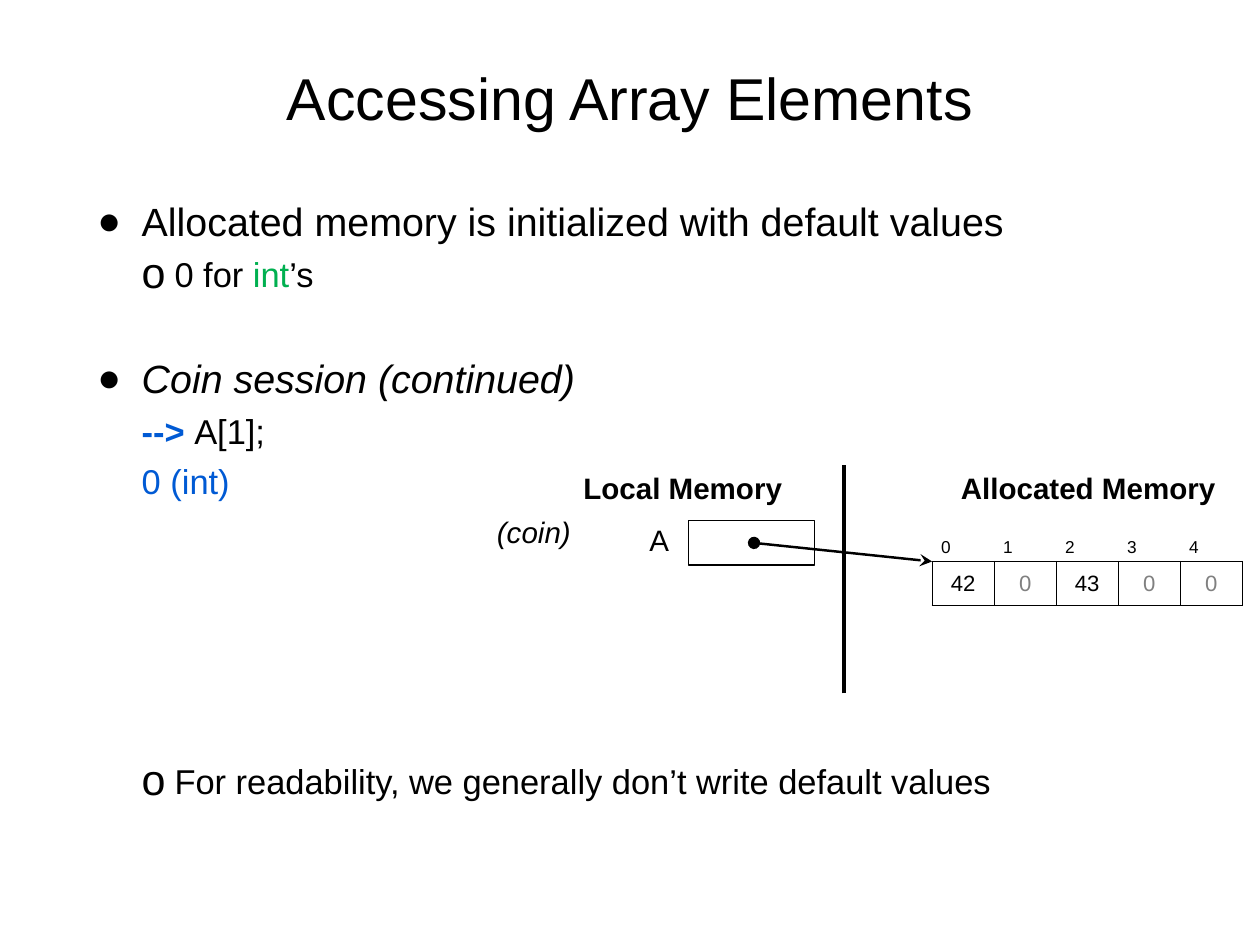
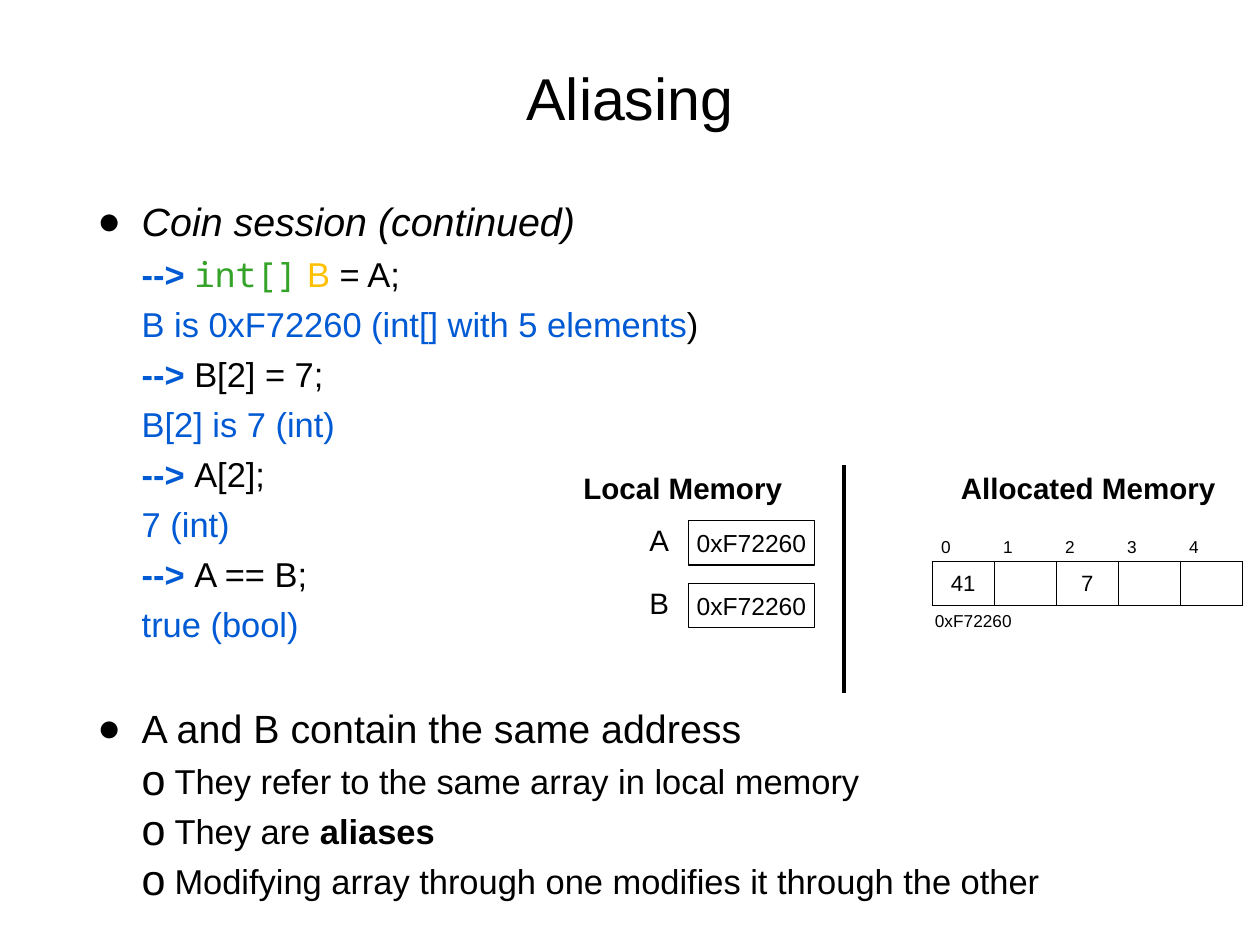
"""Build two slides about array elements and aliasing, each with a memory diagram."""
from lxml.etree import SubElement
from pptx import Presentation
from pptx.dml.color import RGBColor
from pptx.enum.shapes import MSO_CONNECTOR, MSO_SHAPE
from pptx.enum.text import MSO_ANCHOR, MSO_AUTO_SIZE, PP_ALIGN
from pptx.oxml.ns import qn
from pptx.util import Inches, Pt

BLACK = RGBColor(0x00, 0x00, 0x00)
GREY = RGBColor(0x80, 0x80, 0x80)
BLUE = RGBColor(0x00, 0x5A, 0xD4)
GREEN = RGBColor(0x00, 0xB0, 0x50)
CODE_GREEN = RGBColor(0x34, 0xA3, 0x27)
GOLD = RGBColor(0xFF, 0xC0, 0x00)
FONT, CODE_FONT = "Arial", "Noto Sans Mono"

PAGE_WIDTH, PAGE_HEIGHT = 14.22, 10.67
LEFT, WIDTH = 1.04, 12.14
INSET = 0.06
CELL_WIDTH, CELL_HEIGHT = 0.7, 0.5
TABLE_LEFT, TABLE_TOP = 10.52, 5.84
BOX_LEFT, BOX_TOP, BOX_WIDTH, BOX_PITCH = 7.77, 5.88, 1.42, 0.71
DIVIDER_X, DIVIDER_TOP, DIVIDER_BOTTOM = 9.53, 5.25, 7.83
BLANK_LINE = 40.6

LEVELS = {
    "point": dict(size=32, margin=0.5, hang=0.5, before=8, bullet="●", scale=100),
    "sub": dict(size=28, margin=0.87, hang=0.37, before=7, bullet="o", scale=125),
    "code": dict(size=28, margin=0.87, hang=0.37, before=7, bullet=None, scale=100),
}
PROMPT = ("--> ", dict(color=BLUE, bold=True))
SESSION = ("point", [("Coin session (continued)", dict(italic=True))])


def entry(text):
    return "code", [PROMPT, (text, {})]


def reply(text):
    return "code", [(text, dict(color=BLUE))]


SLIDES = [
    dict(
        title="Accessing Array Elements",
        body_height=7.54,
        lines=[
            ("point", [("Allocated memory is initialized with default values", {})]),
            ("sub", [("0 for ", {}), ("int", dict(color=GREEN)), ("’s", {})]),
            SESSION,
            entry("A[1];"),
            reply("0 (int)"),
            ("sub", [("For readability, we generally don’t write default values", {})]),
        ],
        blanks_before={2: 1, 5: 5},
        variables=[("A", "")],
        cells=["42", "0", "43", "0", "0"],
        labels=[("(coin)", 5.5, 5.75, 1.05, 0.51, 24, dict(italic=True))],
        arrow=((8.51, 6.13), (TABLE_LEFT, TABLE_TOP + CELL_HEIGHT)),
    ),
    dict(
        title="Aliasing",
        body_height=8.17,
        lines=[
            SESSION,
            ("code", [PROMPT, ("int[]", dict(color=CODE_GREEN, name=CODE_FONT)),
                      (" B ", dict(color=GOLD)), ("= A;", {})]),
            ("code", [("B is 0xF72260 (int[] with 5 elements", dict(color=BLUE)), (")", {})]),
            entry("B[2] = 7;"),
            reply("B[2] is 7 (int)"),
            entry("A[2];"),
            reply("7 (int)"),
            entry("A == B;"),
            reply("true (bool)"),
            ("point", [("A and B contain the same address", {})]),
            ("sub", [("They refer to the same array in local memory", {})]),
            ("sub", [("They are ", {}), ("aliases", dict(bold=True))]),
            ("sub", [("Modifying array through one modifies it through the other", {})]),
        ],
        blanks_before={9: 1},
        variables=[("A", "0xF72260"), ("B", "0xF72260")],
        cells=["41", "", "7", "", ""],
        labels=[("0xF72260", 10.45, 6.84, 1.07, 0.34, 14, {})],
        arrow=None,
    ),
]
HEADINGS = [
    ("Allocated Memory", 10.77, 5.26, 3.02, 0.5, 24, dict(bold=True)),
    ("Local Memory", 6.51, 5.26, 2.39, 0.5, 24, dict(bold=True)),
]


def style(font, size=None, color=None, name=None, bold=None, italic=None):
    if size:
        font.size = Pt(size)
    if color is not None:
        font.color.rgb = color
    if name:
        font.name = name
    if bold is not None:
        font.bold = bold
    if italic is not None:
        font.italic = italic


def set_frame(frame, anchor, wrap=True, inset=INSET):
    frame.auto_size = MSO_AUTO_SIZE.NONE
    frame.word_wrap = wrap
    frame.vertical_anchor = anchor
    frame.margin_left = frame.margin_right = Inches(inset)
    frame.margin_top = frame.margin_bottom = Inches(inset)


def write(para, text, size, align=PP_ALIGN.CENTER, color=BLACK, **look):
    para.text = text
    para.alignment = align
    style(para.font, size, color, FONT, **look)


def place(shape, left, top, width, height):
    shape.left, shape.top = Inches(left), Inches(top)
    shape.width, shape.height = Inches(width), Inches(height)


def add_title(page, text):
    title = page.shapes.title
    place(title, LEFT, 0.27, WIDTH, 1.64)
    set_frame(title.text_frame, MSO_ANCHOR.MIDDLE)
    write(title.text_frame.paragraphs[0], text, 48)


def add_body(page, lines, blanks_before, height):
    box = page.shapes.add_textbox(Inches(LEFT), Inches(2.17), Inches(WIDTH), Inches(height))
    frame = box.text_frame
    set_frame(frame, MSO_ANCHOR.TOP)
    for index, (kind, spans) in enumerate(lines):
        level = LEVELS[kind]
        para = frame.add_paragraph() if index else frame.paragraphs[0]
        props = para._p.get_or_add_pPr()
        props.set("marL", str(Inches(level["margin"])))
        props.set("indent", str(-Inches(level["hang"])))
        if level["bullet"]:
            SubElement(props, qn("a:buSzPct"), val=str(level["scale"] * 1000))
            SubElement(props, qn("a:buFont"), typeface=FONT)
            SubElement(props, qn("a:buChar"), char=level["bullet"])
        if index:
            para.space_before = Pt(level["before"] + BLANK_LINE * blanks_before.get(index, 0))
        style(para.font, level["size"], BLACK, FONT)
        for text, look in spans:
            span = para.add_run()
            span.text = text
            style(span.font, **look)


def add_label(page, text, left, top, width, height, size, look):
    box = page.shapes.add_textbox(Inches(left), Inches(top), Inches(width), Inches(height))
    set_frame(box.text_frame, MSO_ANCHOR.MIDDLE, wrap=False)
    write(box.text_frame.paragraphs[0], text, size, **look)


def add_variable(page, row, name, value):
    top = BOX_TOP + row * BOX_PITCH
    add_label(page, name, 7.27, top - 0.05, 0.34, 0.52, 24, {})
    box = page.shapes.add_shape(MSO_SHAPE.RECTANGLE, Inches(BOX_LEFT), Inches(top),
                                Inches(BOX_WIDTH), Inches(CELL_HEIGHT))
    box.shadow.inherit = False
    box.fill.background()
    box.line.color.rgb = BLACK
    box.line.width = Pt(1)
    set_frame(box.text_frame, MSO_ANCHOR.MIDDLE, inset=0.05)
    if value:
        write(box.text_frame.paragraphs[0], value, 20)


def add_line(page, start, end, width, ends=()):
    points = [Inches(value) for value in (*start, *end)]
    line = page.shapes.add_connector(MSO_CONNECTOR.STRAIGHT, *points)
    line.line.color.rgb = BLACK
    line.line.width = Pt(width)
    for tag, kind in ends:
        SubElement(line.line._get_or_add_ln(), qn(tag), type=kind, w="lg", len="lg")
    SubElement(line._element.spPr, qn("a:effectLst"))


def set_borders(cell, drawn):
    props = cell._tc.get_or_add_tcPr()
    for side in "LRTB":
        line = SubElement(props, qn("a:ln" + side), w=str(Pt(1)))
        if side in drawn:
            fill = SubElement(line, qn("a:solidFill"))
            SubElement(fill, qn("a:srgbClr"), val=str(BLACK))
        else:
            SubElement(line, qn("a:noFill"))


def add_array(page, values):
    count = len(values)
    table = page.shapes.add_table(2, count, Inches(TABLE_LEFT), Inches(TABLE_TOP),
                                  Inches(count * CELL_WIDTH), Inches(2 * CELL_HEIGHT)).table
    table.first_row = table.horz_banding = False
    for column, value in enumerate(values):
        header, cell = table.cell(0, column), table.cell(1, column)
        set_borders(header, "B")
        set_borders(cell, "LRTB")
        header.fill.background()
        cell.fill.background()
        header.vertical_anchor = MSO_ANCHOR.BOTTOM
        cell.vertical_anchor = MSO_ANCHOR.MIDDLE
        write(header.text_frame.paragraphs[0], str(column), 14, PP_ALIGN.LEFT)
        write(cell.text_frame.paragraphs[0], value, 18, color=GREY if value == "0" else BLACK)


def add_page(deck, content):
    page = deck.slides.add_slide(deck.slide_layouts[5])
    add_title(page, content["title"])
    add_body(page, content["lines"], content["blanks_before"], content["body_height"])
    for label in HEADINGS + content["labels"]:
        add_label(page, *label)
    for row, (name, value) in enumerate(content["variables"]):
        add_variable(page, row, name, value)
    add_array(page, content["cells"])
    add_line(page, (DIVIDER_X, DIVIDER_BOTTOM), (DIVIDER_X, DIVIDER_TOP), 3.2)
    if content["arrow"]:
        add_line(page, *content["arrow"], 2, [("a:headEnd", "oval"), ("a:tailEnd", "stealth")])


def main():
    deck = Presentation()
    deck.slide_width, deck.slide_height = Inches(PAGE_WIDTH), Inches(PAGE_HEIGHT)
    for content in SLIDES:
        add_page(deck, content)
    deck.save("out.pptx")


if __name__ == "__main__":
    main()
